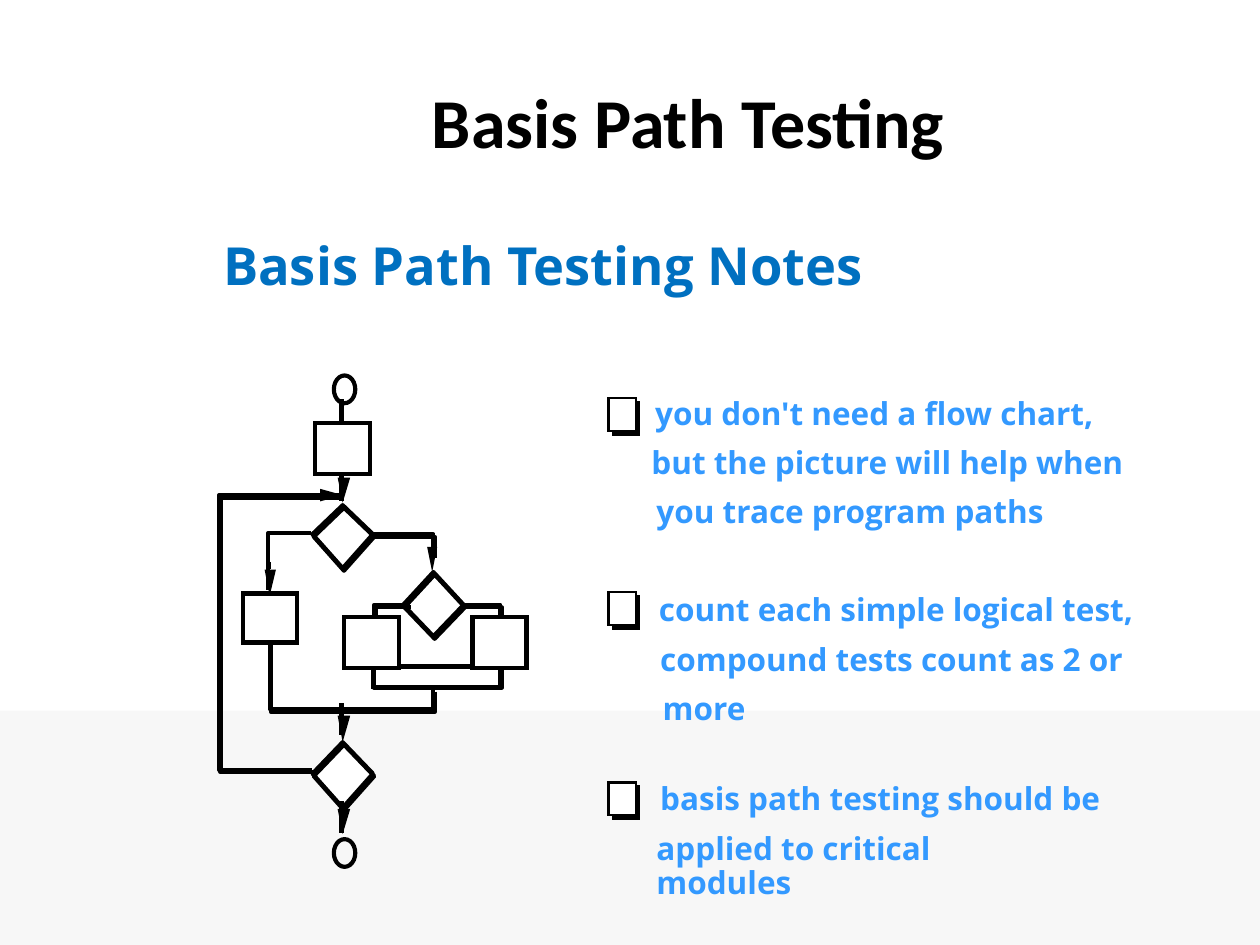
from dataclasses import dataclass

import lxml.etree
import pptx
import pptx.dml.color
import pptx.enum.shapes
import pptx.enum.text
import pptx.oxml.ns
import pptx.util

SHAPES = pptx.enum.shapes.MSO_SHAPE
ANCHOR = pptx.enum.text.MSO_ANCHOR
Point = tuple[int, int]

# The grid has 1000 columns and 750 rows on a 10 by 7.5 inch slide
COLUMNS, ROWS = 1000, 750
CELL = pptx.util.Inches(10) // COLUMNS


@dataclass(frozen=True)
class Theme:
    ink: str = "000000"
    paper: str = "FFFFFF"
    band: str = "F7F7F7"
    heading: str = "0070C0"
    note: str = "3399FF"
    title_font: str = "Calibri"
    body_font: str = "Open Sans"
    title_size: int = 40
    heading_size: int = 30
    note_size: int = 18
    heavy: float = 2.38
    light: float = 1.39


THEME = Theme()


@dataclass(frozen=True)
class Box:
    left: int
    top: int
    width: int
    height: int

    def emu(self) -> list[int]:
        return [CELL * n for n in (self.left, self.top, self.width, self.height)]


@dataclass(frozen=True)
class Label:
    text: str
    box: Box
    size: int
    color: str
    font: str = THEME.body_font
    margins: tuple[float, float] = (0, 0)
    spacing: float = 1.0
    anchor: ANCHOR = ANCHOR.TOP
    grows: bool = True


@dataclass(frozen=True)
class Arrow:
    tip: Point
    head: tuple[Point, Point]
    stem: Point


def rgb(color: str) -> pptx.dml.color.RGBColor:
    return pptx.dml.color.RGBColor.from_string(color)


def paint(shape, fill: str | None, width: float | None, join: str = "round") -> None:
    """Set fill and outline; None leaves either one out."""
    shape.shadow.inherit = False
    if fill:
        shape.fill.solid()
        shape.fill.fore_color.rgb = rgb(fill)
    else:
        shape.fill.background()
    if width is None:
        shape.line.fill.background()
        return
    shape.line.color.rgb = rgb(THEME.ink)
    shape.line.width = pptx.util.Pt(width)
    outline = shape._element.spPr.find(pptx.oxml.ns.qn("a:ln"))
    lxml.etree.SubElement(outline, pptx.oxml.ns.qn(f"a:{join}"))


def draw_box(slide, kind: SHAPES, box: Box, fill: str | None, width: float | None) -> None:
    shape = slide.shapes.add_shape(kind, *box.emu())
    paint(shape, fill, width, "miter")


def draw_path(slide, points: list[Point], fill: str | None = None,
              width: float | None = THEME.heavy, closed: bool = False) -> None:
    corners = [(x * CELL, y * CELL) for x, y in points]
    builder = slide.shapes.build_freeform(*corners[0], scale=1.0)
    builder.add_line_segments(corners[1:], close=closed)
    paint(builder.convert_to_shape(), fill, width)


def draw_double(slide, points: list[Point], fill: str | None = None,
                closed: bool = False) -> None:
    """Draw a path over its own echo, one step down and right."""
    draw_path(slide, [(x + 1, y + 2) for x, y in points], fill, closed=closed)
    draw_path(slide, points, closed=closed)


def draw_line(slide, start: Point, end: Point, width: float) -> None:
    line = slide.shapes.add_connector(
        pptx.enum.shapes.MSO_CONNECTOR.STRAIGHT, *[n * CELL for n in start + end])
    line.line.color.rgb = rgb(THEME.ink)
    line.line.width = pptx.util.Pt(width)
    lxml.etree.SubElement(line._element.spPr, pptx.oxml.ns.qn("a:effectLst"))


def draw_arrow(slide, arrow: Arrow) -> None:
    first, second = arrow.head
    draw_path(slide, [arrow.tip, first, second], THEME.ink, None, closed=True)
    vertical = first[1] == second[1]
    base = (arrow.tip[0], first[1]) if vertical else (first[0], arrow.tip[1])
    draw_line(slide, arrow.stem, base, THEME.light)


def draw_label(slide, label: Label) -> None:
    frame = slide.shapes.add_textbox(*label.box.emu()).text_frame
    frame.word_wrap = not label.grows
    kinds = pptx.enum.text.MSO_AUTO_SIZE
    frame.auto_size = kinds.SHAPE_TO_FIT_TEXT if label.grows else kinds.NONE
    frame.vertical_anchor = label.anchor
    side, edge = (pptx.util.Inches(n) for n in label.margins)
    frame.margin_left = frame.margin_right = side
    frame.margin_top = frame.margin_bottom = edge
    frame.text = label.text
    paragraph = frame.paragraphs[0]
    paragraph.line_spacing = label.spacing
    font = paragraph.runs[0].font
    font.name, font.size, font.bold = label.font, pptx.util.Pt(label.size), True
    font.color.rgb = rgb(label.color)


HEADINGS = [
    Label("Basis Path Testing", Box(333, 33, 667, 125), THEME.title_size, THEME.ink,
          THEME.title_font, (0.1, 0.05), anchor=ANCHOR.MIDDLE, grows=False),
    Label("Basis Path Testing Notes", Box(170, 182, 525, 56), THEME.heading_size,
          THEME.heading, margins=(0.07, 0.03)),
]
# Each decision: top corner, rows to the side corners, rows to the bottom corner
DECISIONS = [(344, 454, 26, 51), (272, 401, 23, 50), (272, 589, 25, 52)]
HALF_DECISION = 24
TERMINALS = [Box(265, top, 17, 22) for top in (298, 666)]
PROCESSES = [Box(250, 336, 44, 40), Box(273, 490, 44, 40),
             Box(375, 490, 43, 40), Box(193, 471, 43, 39)]
STEMS = [(317, 398), (558, 583), (636, 661)]
STEM_COLUMN = 271
BRANCHES = [
    [(297, 424), (344, 424), (344, 441)],
    [(368, 480), (397, 480), (397, 505)],
    [(325, 480), (297, 480), (297, 513)],
    [(248, 611), (174, 611), (174, 393), (272, 393)],
    [(344, 547), (344, 563), (214, 563), (214, 510)],
]
LEFT_BRANCH = [(247, 423), (213, 423), (213, 468)]
JOIN_ECHO = [(297, 530), (297, 546), (398, 546), (398, 530)]
JOIN = Box(296, 529, 101, 16)
ARROWS = [
    Arrow((272, 393), ((254, 398), (254, 388)), (251, 393)),
    Arrow((343, 454), ((339, 434), (347, 434)), (343, 424)),
    Arrow((214, 473), ((210, 452), (219, 452)), (214, 446)),
    Arrow((272, 589), ((268, 568), (278, 568)), (272, 560)),
    Arrow((272, 399), ((268, 379), (278, 379)), (272, 378)),
    Arrow((272, 662), ((268, 642), (278, 642)), (272, 641)),
]
LINE_STEP = 39
# Each note: top of its tick box, top of its text, lines as (left, width, text)
NOTES = [
    (316, 316, [(520, 355, "you don't need a flow chart,"),
                (517, 382, "but the picture will help when"),
                (521, 309, "you trace program paths")]),
    (470, 472, [(523, 383, "count each simple logical test,"),
                (524, 374, "compound tests count as 2 or"),
                (526, 66, "more")]),
    (621, 622, [(524, 356, "basis path testing should be"),
                (521, 331, "applied to critical modules")]),
]


def draw_flow_chart(slide) -> None:
    for x, top, side, bottom in DECISIONS:
        draw_double(slide, [(x, top), (x - HALF_DECISION, top + side),
                            (x, top + bottom), (x + HALF_DECISION, top + side)],
                    THEME.paper, closed=True)
    for start, end in STEMS:
        draw_line(slide, (STEM_COLUMN, start), (STEM_COLUMN, end), THEME.heavy)
    for points in BRANCHES:
        draw_double(slide, points)
    for points in (LEFT_BRANCH, JOIN_ECHO):
        draw_path(slide, points)
    draw_box(slide, SHAPES.RECTANGLE, JOIN, None, THEME.heavy)
    for box in PROCESSES:
        draw_box(slide, SHAPES.RECTANGLE, box, THEME.paper, THEME.heavy)
    for box in TERMINALS:
        draw_box(slide, SHAPES.OVAL, box, None, THEME.heavy)
    for arrow in ARROWS:
        draw_arrow(slide, arrow)


def draw_notes(slide) -> None:
    for tick_top, text_top, lines in NOTES:
        draw_box(slide, SHAPES.RECTANGLE, Box(487, tick_top + 3, 20, 26), THEME.ink, THEME.light)
        draw_box(slide, SHAPES.RECTANGLE, Box(483, tick_top, 22, 26), THEME.paper, THEME.light)
        for row, (left, width, text) in enumerate(lines):
            box = Box(left, text_top + row * LINE_STEP, width, 27)
            draw_label(slide, Label(text, box, THEME.note_size, THEME.note, spacing=0.9))


def main() -> None:
    presentation = pptx.Presentation()
    presentation.slide_width, presentation.slide_height = COLUMNS * CELL, ROWS * CELL
    slide = presentation.slides.add_slide(presentation.slide_layouts[6])
    # Footer band
    draw_box(slide, SHAPES.RECTANGLE, Box(0, 564, COLUMNS, ROWS - 564), THEME.band, None)
    for label in HEADINGS:
        draw_label(slide, label)
    draw_flow_chart(slide)
    draw_notes(slide)
    presentation.save("out.pptx")


if __name__ == "__main__":
    main()
